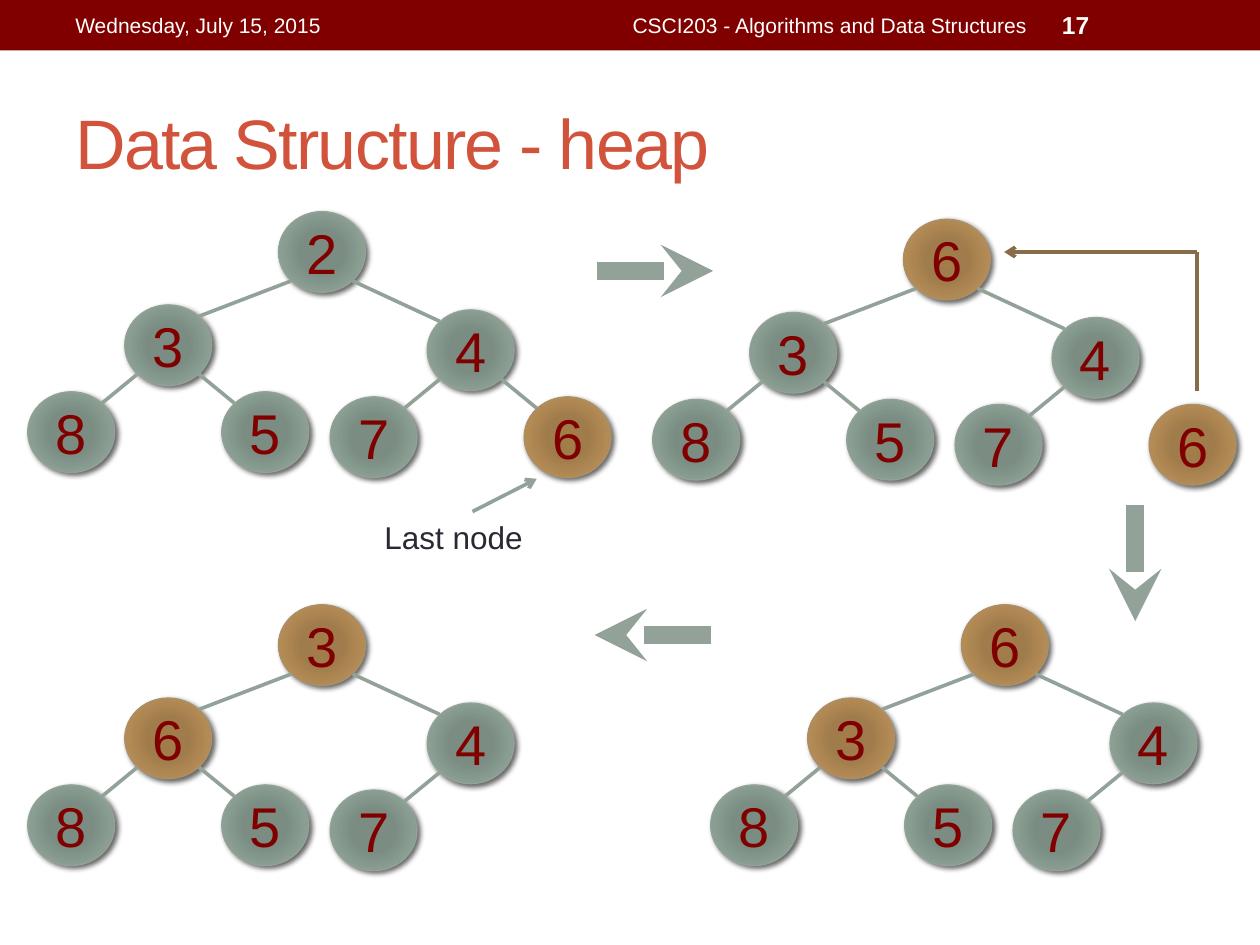
import pptx
import pptx.util
import pptx.oxml
import pptx.oxml.ns
import pptx.dml.color
import pptx.enum.shapes
import pptx.enum.text
from lxml import etree

Inches, Pt = pptx.util.Inches, pptx.util.Pt
PP = pptx.enum.text.PP_ALIGN
ANCHOR = pptx.enum.text.MSO_ANCHOR
SHAPE = pptx.enum.shapes.MSO_SHAPE
qn = pptx.oxml.ns.qn

COLORS = {"bar": "800000", "title": "D2533C", "white": "FFFFFF", "digit": "800000",
          "label": "292934", "edge": "93A299", "move": "866C49"}
NODE_STYLES = {
    "green": {"line": "93A299",
              "stops": [(0, "7B8E82"), (34, "7B8D83"), (70, "8A9E92"), (100, "93A299")]},
    "brown": {"line": "AD8F67",
              "stops": [(0, "A37D49"), (34, "A07C4C"), (70, "B38B55"), (100, "AD8F67")]},
}
TEXTS = [
    ("Data Structure - heap", (0.5, 0.58, 9, 1.08), PP.LEFT, ANCHOR.MIDDLE,
     {"size": 40, "color": "title", "spacing": -1}),
    ("Wednesday, July 15, 2015", (0.5, 0.02, 3.17, 0.36), PP.LEFT, ANCHOR.MIDDLE,
     {"size": 12, "color": "white"}),
    ("CSCI203 - Algorithms and Data Structures", (3.75, 0.02, 4.5, 0.36), PP.RIGHT, ANCHOR.MIDDLE,
     {"size": 12, "color": "white"}),
    ("17", (8.33, 0.02, 1.17, 0.36), PP.LEFT, ANCHOR.MIDDLE,
     {"size": 14, "color": "white", "bold": True}),
    ("Last node", (2.79, 4.06, 1.62, 0.4), PP.CENTER, ANCHOR.TOP,
     {"size": 18, "color": "label"}),
]

NODE_W, NODE_H = 0.69, 0.64
LEFT_X, RIGHT_X, TOP_Y, BOTTOM_Y = 0.10, 0.59, 0.09, 0.55
POSITIONS = {"root": (1.99, 0), "left": (0.77, 0.74), "right": (3.17, 0.78),
             "left.left": (0, 1.43), "left.right": (1.54, 1.43),
             "right.left": (2.4, 1.47), "right.right": (3.94, 1.47)}
PARENTS = {"left": "root", "right": "root", "left.left": "left", "left.right": "left",
           "right.left": "right", "right.right": "right"}

TREES = [
    {"at": (0.22, 1.68), "brown": ["right.right"], "detached": [],
     "values": {"root": 2, "left": 3, "right": 4, "left.left": 8, "left.right": 5,
                "right.left": 7, "right.right": 6}},
    {"at": (5.18, 1.74), "brown": ["root", "right.right"], "detached": ["right.right"],
     "values": {"root": 6, "left": 3, "right": 4, "left.left": 8, "left.right": 5,
                "right.left": 7, "right.right": 6}},
    {"at": (0.22, 4.8), "brown": ["root", "left"], "detached": [],
     "values": {"root": 3, "left": 6, "right": 4, "left.left": 8, "left.right": 5,
                "right.left": 7}},
    {"at": (5.64, 4.8), "brown": ["root", "left"], "detached": [],
     "values": {"root": 6, "left": 3, "right": 4, "left.left": 8, "left.right": 5,
                "right.left": 7}},
]
ARROWS = [
    ((3.75, 4.06), (4.26, 3.8), "edge", 2.08, "arrow"),
    ((9.5, 3.1), (9.5, 2), "move", 2.08, None),
    ((9.5, 2), (7.97, 2), "move", 2.08, "arrow"),
    ((4.74, 2.15), (5.66, 2.15), "edge", 10, "stealth"),
    ((9.01, 4.01), (9.01, 4.93), "edge", 10, "stealth"),
    ((5.64, 5.04), (4.72, 5.04), "edge", 10, "stealth"),
]


def rgb(value):
    return pptx.dml.color.RGBColor.from_string(value)


def write(sp, text, align, anchor, fmt):
    tf = sp.text_frame
    tf.word_wrap = True
    tf.vertical_anchor = anchor
    p = tf.paragraphs[0]
    p.alignment = align
    r = p.add_run()
    r.text = text
    font = {"name": "Arial", "size": Pt(fmt["size"]), "bold": fmt.get("bold", False)}
    for key, value in font.items():
        setattr(r.font, key, value)
    r.font.color.rgb = rgb(COLORS[fmt["color"]])
    if "spacing" in fmt:
        r.font._element.set("spc", str(fmt["spacing"] * 100))


def radial_fill(sp, stops):
    sp.fill.gradient()
    old = sp._element.spPr.find(qn("a:gradFill"))
    gs = "".join(f'<a:gs pos="{pos * 1000}"><a:srgbClr val="{color}"/></a:gs>'
                 for pos, color in stops)
    new = pptx.oxml.parse_xml(
        f'<a:gradFill {pptx.oxml.ns.nsdecls("a")} rotWithShape="1"><a:gsLst>{gs}</a:gsLst>'
        '<a:path path="circle"><a:fillToRect l="100000" t="100000" r="100000" b="100000"/>'
        '</a:path></a:gradFill>')
    sp._element.spPr.replace(old, new)


def add_shadow(sp):
    sp.shadow.inherit = False
    effects = sp._element.spPr.find(qn("a:effectLst"))
    effects.append(pptx.oxml.parse_xml(
        f'<a:outerShdw {pptx.oxml.ns.nsdecls("a")} blurRad="{Pt(3)}" dist="{Pt(2)}" '
        f'dir="{45 * 60000}" algn="tl" rotWithShape="0"><a:srgbClr val="000000">'
        '<a:alpha val="60000"/></a:srgbClr></a:outerShdw>'))


def add_node(s, x, y, value, style):
    sp = s.shapes.add_shape(SHAPE.OVAL, Inches(x), Inches(y), Inches(NODE_W), Inches(NODE_H))
    radial_fill(sp, style["stops"])
    sp.line.color.rgb = rgb(style["line"])
    sp.line.width = Pt(0.75)
    add_shadow(sp)
    write(sp, str(value), PP.CENTER, ANCHOR.MIDDLE, {"size": 32, "color": "digit"})


def add_line(s, start, end, color, width, head=None):
    c = s.shapes.add_connector(pptx.enum.shapes.MSO_CONNECTOR.STRAIGHT,
                               *(Inches(v) for v in (*start, *end)))
    c.line.color.rgb = rgb(COLORS[color])
    c.line.width = Pt(width)
    if head:
        etree.SubElement(c.line._get_or_add_ln(), qn("a:tailEnd"), type=head)
    etree.SubElement(c._element.spPr, qn("a:effectLst"))


def add_tree(s, tree):
    x0, y0 = tree["at"]
    places = {name: (x0 + POSITIONS[name][0], y0 + POSITIONS[name][1]) for name in tree["values"]}
    for name, value in tree["values"].items():
        style = NODE_STYLES["brown" if name in tree["brown"] else "green"]
        add_node(s, *places[name], value, style)
    for name, (x, y) in places.items():
        if name in PARENTS and name not in tree["detached"]:
            px, py = places[PARENTS[name]]
            child_dx, parent_dx = (RIGHT_X, LEFT_X) if x < px else (LEFT_X, RIGHT_X)
            add_line(s, (x + child_dx, y + TOP_Y), (px + parent_dx, py + BOTTOM_Y), "edge", 2.08)


def main():
    prs = pptx.Presentation()
    prs.slide_width, prs.slide_height = Inches(10), Inches(7.5)
    s = prs.slides.add_slide(prs.slide_layouts[6])
    bar = s.shapes.add_shape(SHAPE.RECTANGLE, 0, 0, prs.slide_width, Inches(0.4))
    bar.shadow.inherit = False
    bar.fill.solid()
    bar.fill.fore_color.rgb = rgb(COLORS["bar"])
    bar.line.fill.background()
    for text, box, align, anchor, fmt in TEXTS:
        write(s.shapes.add_textbox(*(Inches(v) for v in box)), text, align, anchor, fmt)
    for tree in TREES:
        add_tree(s, tree)
    for arrow in ARROWS:
        add_line(s, *arrow)
    prs.save("out.pptx")


if __name__ == "__main__":
    main()
